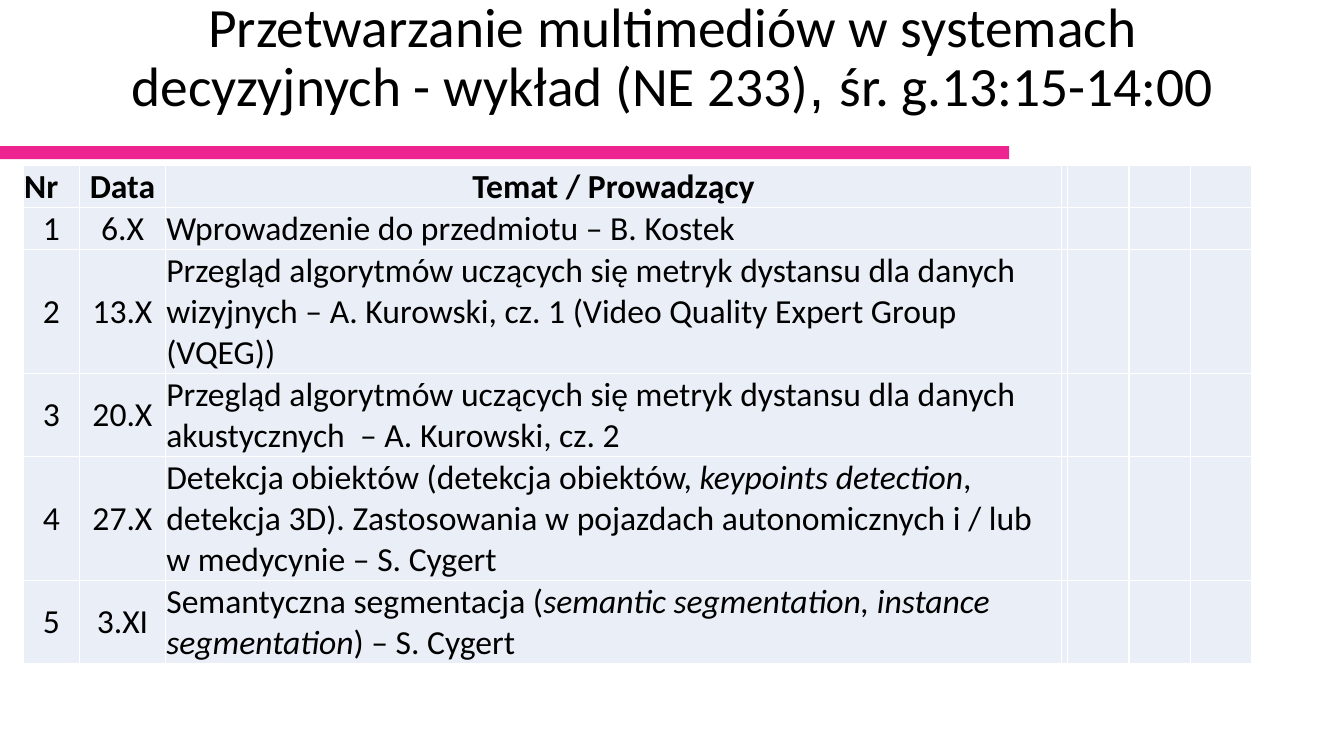
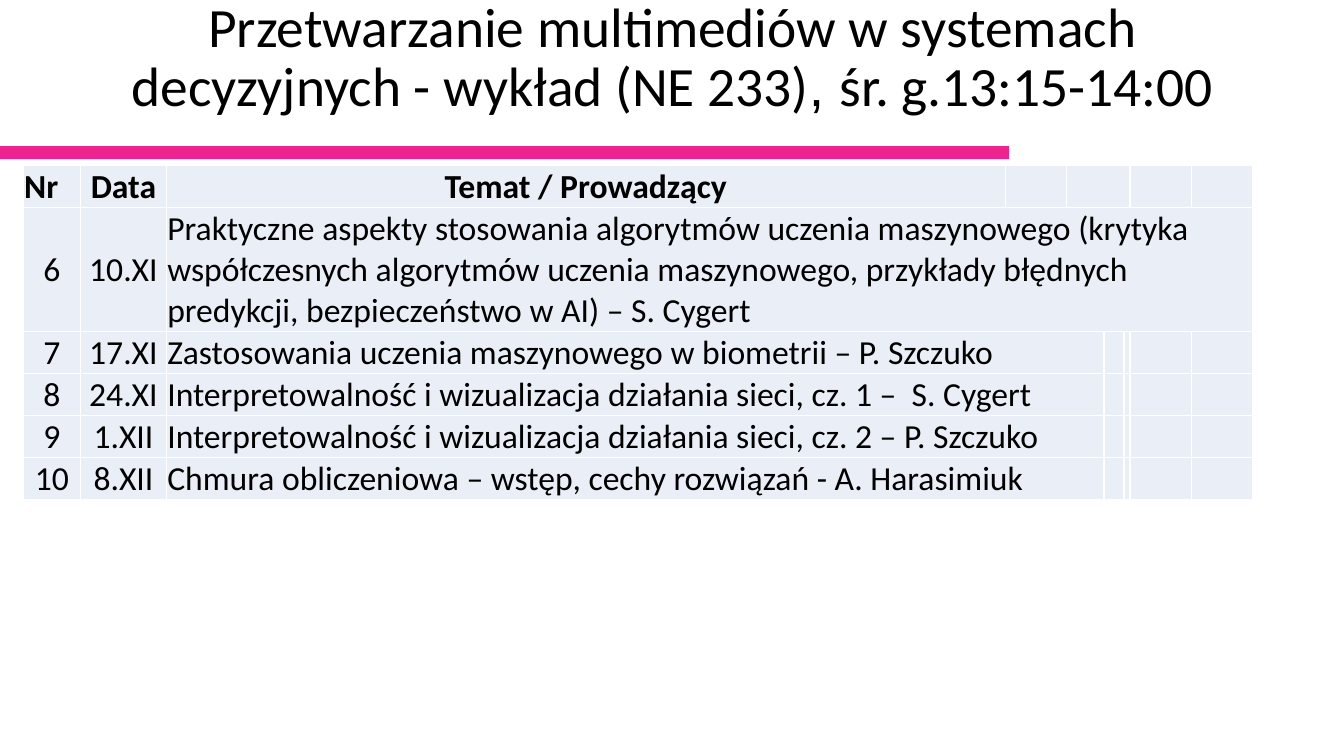
from dataclasses import dataclass

from lxml import etree
from pptx import Presentation
from pptx.dml.color import RGBColor
from pptx.enum.shapes import MSO_SHAPE
from pptx.enum.text import MSO_ANCHOR, MSO_AUTO_SIZE, PP_ALIGN
from pptx.oxml.ns import qn
from pptx.util import Inches, Pt

RECT = MSO_SHAPE.RECTANGLE
LEFT, CENTER = PP_ALIGN.LEFT, PP_ALIGN.CENTER
MIDDLE, BOTTOM = MSO_ANCHOR.MIDDLE, MSO_ANCHOR.BOTTOM
FIXED = MSO_AUTO_SIZE.NONE

COLORS = {"ink": "000000", "bar": "ED238F", "cell": "EAEFF7", "rule": "FFFFFF"}
FONT = "Calibri"
LINE = 0.405


@dataclass(frozen=True)
class Span:
    text: str
    font: str = FONT
    italic: bool = False


@dataclass(frozen=True)
class Topic:
    nr: str
    date: str
    words: tuple[Span, ...]
    lines: int = 1


@dataclass(frozen=True)
class Plan:
    cols: tuple[float, ...]
    topics: tuple[Topic, ...]
    merges: tuple[tuple[int, int, int], ...] = ()
    anchor: MSO_ANCHOR = MIDDLE


TITLE = (
    Span("Przetwarzanie multimediów w systemach decyzyjnych - wykład (NE 233)"),
    Span(", ", font="Arial"),
    Span("śr. g.13:15-14:00"),
)
HEAD = Topic("Nr", "Data", (Span("Temat / Prowadzący"),))

PLANS = (
    Plan(
        cols=(0.56, 0.85, 8.89, 0.05, 0.61, 0.61, 0.61),
        anchor=BOTTOM,
        topics=(
            Topic("1", "6.X", (Span("Wprowadzenie do przedmiotu – B. Kostek"),)),
            Topic("2", "13.X", (Span(
                "Przegląd algorytmów uczących się metryk dystansu dla danych wizyjnych"
                " – A. Kurowski, cz. 1 (Video Quality Expert Group (VQEG))"),), 3),
            Topic("3", "20.X", (Span(
                "Przegląd algorytmów uczących się metryk dystansu dla danych"
                " akustycznych  – A. Kurowski, cz. 2"),), 2),
            Topic("4", "27.X", (
                Span("Detekcja obiektów (detekcja obiektów, "),
                Span("keypoints detection", italic=True),
                Span(", detekcja 3D). Zastosowania w pojazdach autonomicznych"
                     " i / lub w medycynie – S. Cygert")), 3),
            Topic("5", "3.XI", (
                Span("Semantyczna segmentacja ("),
                Span("semantic segmentation, instance segmentation", italic=True),
                Span(") – S. Cygert")), 2),
        ),
    ),
    Plan(
        cols=(0.57, 0.85, 8.32, 0.61, 0.37, 0.2, 0.05, 0.61, 0.61),
        merges=((0, 4, 6), (1, 2, 8), *((row, 2, 4) for row in range(2, 6))),
        topics=(
            Topic("6", "10.XI", (Span(
                "Praktyczne aspekty stosowania algorytmów uczenia maszynowego"
                " (krytyka współczesnych algorytmów uczenia maszynowego, przykłady"
                " błędnych predykcji, bezpieczeństwo w AI) – S. Cygert"),), 3),
            Topic("7", "17.XI", (Span(
                "Zastosowania uczenia maszynowego w biometrii – P. Szczuko"),)),
            Topic("8", "24.XI", (Span(
                "Interpretowalność i wizualizacja działania sieci, cz. 1 –  S. Cygert"),)),
            Topic("9", "1.XII", (Span(
                "Interpretowalność i wizualizacja działania sieci, cz. 2 – P. Szczuko"),)),
            Topic("10", "8.XII", (Span(
                "Chmura obliczeniowa – wstęp, cechy rozwiązań - A. Harasimiuk"),)),
        ),
    ),
)


def color(name: str) -> RGBColor:
    return RGBColor.from_string(COLORS[name])


def write(frame, words: tuple[Span, ...], *, size: float = 24, bold: bool = False,
          align: PP_ALIGN = LEFT, space: float = 1.0) -> None:
    para = frame.paragraphs[0]
    para.alignment = align
    para.line_spacing = space
    for span in words:
        run = para.add_run()
        run.text = span.text
        font = run.font
        font.name, font.size = span.font, Pt(size)
        font.bold, font.italic = bold, span.italic
        font.color.rgb = color("ink")


def style(cell) -> None:
    cell.margin_left = cell.margin_right = cell.margin_top = Inches(0.01)
    cell.margin_bottom = 0
    props = cell._tc.get_or_add_tcPr()
    for side in ("lnL", "lnR", "lnT", "lnB"):
        line = etree.SubElement(props, qn(f"a:{side}"), w=str(Pt(1)))
        fill = etree.SubElement(line, qn("a:solidFill"))
        etree.SubElement(fill, qn("a:srgbClr"), val=COLORS["rule"])
    cell.fill.solid()
    cell.fill.fore_color.rgb = color("cell")


def add_title(slide) -> None:
    title = slide.shapes.title
    title.left, title.top = Inches(0.92), Inches(0.4)
    title.width, title.height = Inches(11.5), Inches(0.97)
    frame = title.text_frame
    frame.word_wrap = True
    frame.auto_size = FIXED
    frame.vertical_anchor = MIDDLE
    frame.margin_bottom = Inches(0.65)
    write(frame, TITLE, size=39.6, align=CENTER, space=0.9)


def add_bar(slide, layout) -> None:
    bar = slide.shapes.add_shape(RECT, 0, Inches(1.45), Inches(10.01), Inches(0.13))
    bar.shadow.inherit = False
    bar.fill.solid()
    bar.fill.fore_color.rgb = color("bar")
    bar.line.fill.background()
    bar.element.nvSpPr.cNvPr.set("id", "90")
    layout.shapes.element.append(bar.element)


def add_plan(slide, plan: Plan) -> None:
    topics = (HEAD, *plan.topics)
    high = LINE * sum(topic.lines for topic in topics)
    table = slide.shapes.add_table(
        len(topics), len(plan.cols), Inches(0.23), Inches(1.64),
        Inches(sum(plan.cols)), Inches(high)).table
    table.first_row = table.horz_banding = False
    for col, width in zip(table.columns, plan.cols):
        col.width = Inches(width)
    for cell in table.iter_cells():
        style(cell)
    for row, first, last in plan.merges:
        table.cell(row, first).merge(table.cell(row, last))
    for row, topic in enumerate(topics):
        head = topic is HEAD
        table.rows[row].height = Inches(LINE * topic.lines)
        items = (
            ((Span(topic.nr),), LEFT if head else CENTER, BOTTOM if head else MIDDLE),
            ((Span(topic.date),), CENTER, MIDDLE),
            (topic.words, CENTER if head else LEFT, BOTTOM if head else plan.anchor),
        )
        for col, (words, align, anchor) in enumerate(items):
            cell = table.cell(row, col)
            cell.vertical_anchor = anchor
            write(cell.text_frame, words, bold=head, align=align)


def main() -> None:
    deck = Presentation()
    deck.slide_width, deck.slide_height = Inches(13.33), Inches(7.5)
    layout = deck.slide_layouts[5]
    for page, plan in enumerate(PLANS):
        slide = deck.slides.add_slide(layout)
        if page == 0:
            add_bar(slide, layout)
        add_title(slide)
        add_plan(slide, plan)
    deck.save("out.pptx")


if __name__ == "__main__":
    main()
